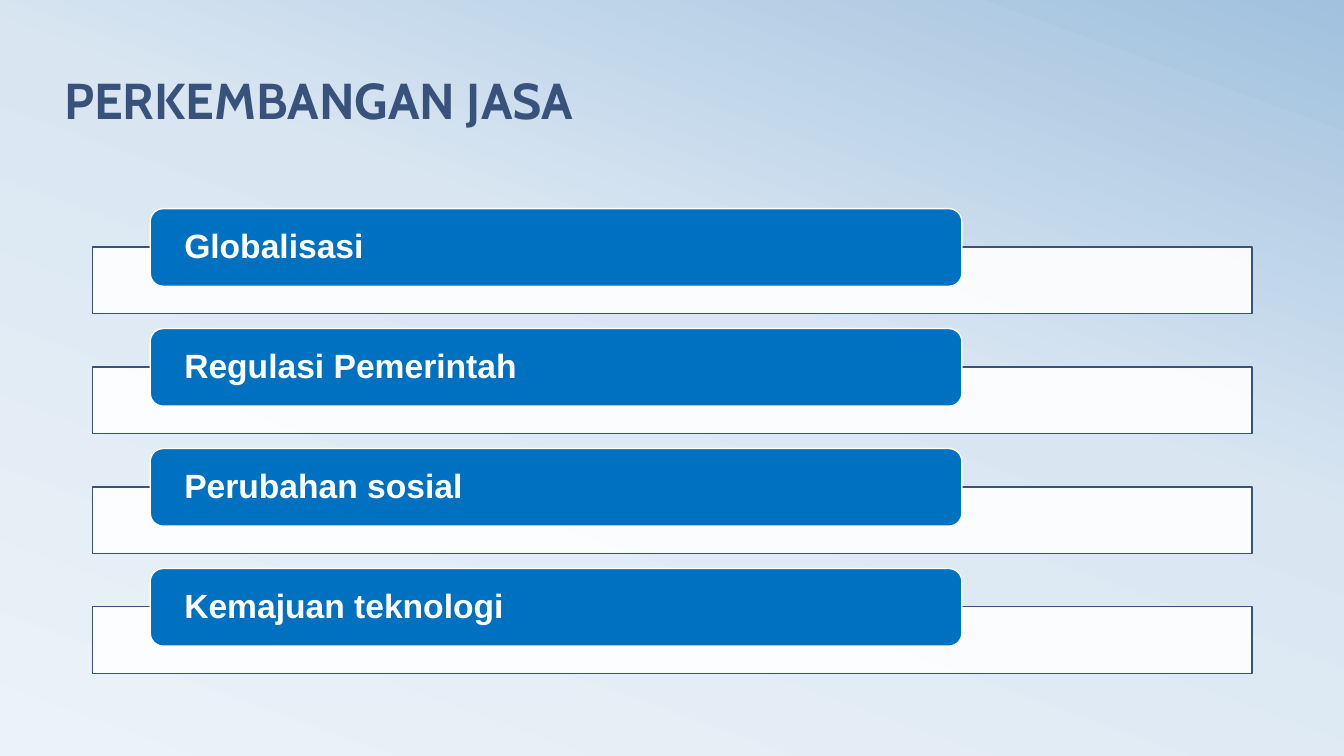
from copy import deepcopy

from lxml import etree
from pptx import Presentation
from pptx.dml.color import RGBColor
from pptx.enum.shapes import MSO_SHAPE
from pptx.enum.text import MSO_ANCHOR, PP_ALIGN
from pptx.oxml.ns import qn
from pptx.util import Inches, Pt

RECT, ROUNDED = MSO_SHAPE.RECTANGLE, MSO_SHAPE.ROUNDED_RECTANGLE
MIDDLE, BOTTOM = MSO_ANCHOR.MIDDLE, MSO_ANCHOR.BOTTOM
LEFT = PP_ALIGN.LEFT

NAVY = RGBColor(0x39, 0x52, 0x7B)
BLUE = RGBColor(0x00, 0x70, 0xC0)
WHITE = RGBColor(0xFF, 0xFF, 0xFF)
SKY = [
    (0, RGBColor(0xEC, 0xF3, 0xF8)),
    (0.58, RGBColor(0xD9, 0xE6, 0xF2)),
    (1, RGBColor(0xA1, 0xC1, 0xDE)),
]
FACTORS = ["Globalisasi", "Regulasi Pemerintah", "Perubahan sosial", "Kemajuan teknologi"]


def paint_background(s):
    """Fill the slide with the three-stop sky gradient."""
    fill = s.background.fill
    fill.gradient()
    fill.gradient_angle = 70
    stops = next(s._element.iter(qn("a:gsLst")))
    stops.append(deepcopy(stops[-1]))
    for stop, (position, color) in zip(fill.gradient_stops, SKY):
        stop.position = position
        stop.color.rgb = color


def write(tf, text, font, size, color, spacing, anchor):
    """Write one bold left-aligned line into a text frame."""
    tf.word_wrap = True
    tf.vertical_anchor = anchor
    p = tf.paragraphs[0]
    p.alignment = LEFT
    p.line_spacing = spacing
    r = p.add_run()
    r.text = text
    r.font.name = font
    r.font.size = Pt(size)
    r.font.bold = True
    r.font.color.rgb = color


def add_box(shapes, kind, x, y, w, h, fill, line):
    """Add a flat preset shape with a one-point outline."""
    sp = shapes.add_shape(kind, Inches(x), Inches(y), Inches(w), Inches(h))
    sp.shadow.inherit = False
    sp.fill.solid()
    sp.fill.fore_color.rgb = fill
    sp.line.color.rgb = line
    sp.line.width = Pt(1)
    return sp


def add_title(s, x, y, w, h):
    """Place the slide title in the given box."""
    sp = s.shapes.add_textbox(Inches(x), Inches(y), Inches(w), Inches(h))
    write(sp.text_frame, "PERKEMBANGAN JASA", "Cabin", 36, NAVY, 0.8, BOTTOM)


def add_factor(shapes, text, x, y, w):
    """Place a label overlapping the top of its translucent bar."""
    bar = add_box(shapes, RECT, x, y + 0.38, w, 0.66, WHITE, NAVY)
    color = next(bar._element.spPr.find(qn("a:solidFill")).iter(qn("a:srgbClr")))
    etree.SubElement(color, qn("a:alpha")).set("val", "90000")
    label = add_box(shapes, ROUNDED, x + 0.57, y, w * 0.7, 0.77, BLUE, WHITE)
    tf = label.text_frame
    tf.margin_left = tf.margin_right = Inches(0.3)
    tf.margin_top = tf.margin_bottom = 0
    write(tf, text, "Arial", 24, WHITE, 0.9, MIDDLE)


def add_factors(s, x, y, w, pitch):
    """Stack the factors at an even pitch as one group."""
    group = s.shapes.add_group_shape()
    for i, text in enumerate(FACTORS):
        add_factor(group.shapes, text, x, y + i * pitch, w)


def main():
    """Build and save the slide."""
    prs = Presentation()
    prs.slide_width, prs.slide_height = Inches(13.33), Inches(7.5)
    s = prs.slides.add_slide(prs.slide_layouts[6])
    paint_background(s)
    add_title(s, 0.54, 0.75, 12, 0.58)
    add_factors(s, 0.92, 2.07, 11.5, 1.19)
    prs.save("out.pptx")


if __name__ == "__main__":
    main()
